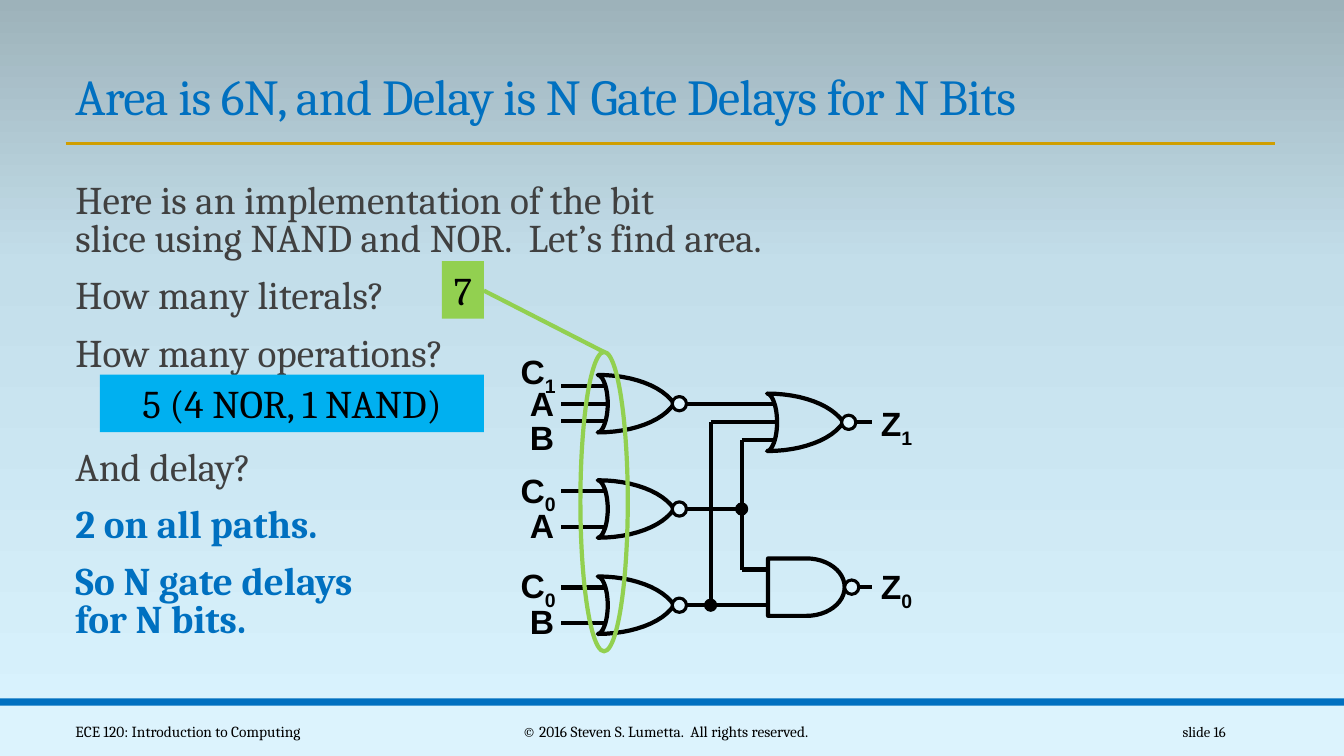
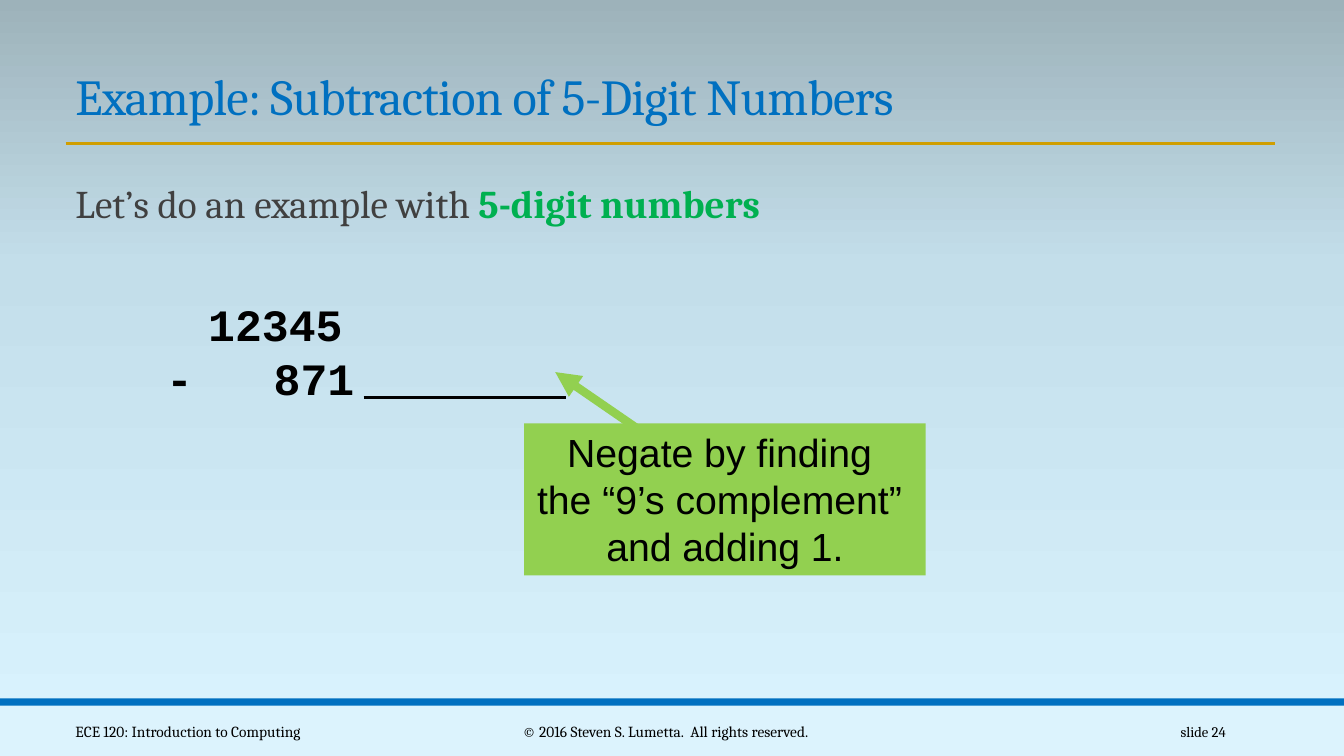
from copy import deepcopy

from lxml import etree
from pptx import Presentation
from pptx.dml.color import RGBColor
from pptx.enum.shapes import MSO_CONNECTOR, MSO_SHAPE
from pptx.enum.text import MSO_ANCHOR, PP_ALIGN
from pptx.oxml.ns import qn
from pptx.util import Pt

RECT, OVAL, DELAY = MSO_SHAPE.RECTANGLE, MSO_SHAPE.OVAL, MSO_SHAPE.FLOWCHART_DELAY
STRAIGHT = MSO_CONNECTOR.STRAIGHT
LEFT, CENTER, RIGHT = PP_ALIGN.LEFT, PP_ALIGN.CENTER, PP_ALIGN.RIGHT
TOP, MIDDLE, BOTTOM = MSO_ANCHOR.TOP, MSO_ANCHOR.MIDDLE, MSO_ANCHOR.BOTTOM

BLACK = RGBColor(0x00, 0x00, 0x00)
GRAY = RGBColor(0x40, 0x40, 0x40)
BLUE = RGBColor(0x00, 0x70, 0xC0)
SKY = RGBColor(0x00, 0xB0, 0xF0)
GOLD = RGBColor(0xD0, 0x9E, 0x00)
GREEN = RGBColor(0x00, 0xB0, 0x50)
LIME = RGBColor(0x92, 0xD0, 0x50)
PALE = RGBColor(0xDC, 0xF3, 0xFD)
BACKDROP = [
    (0, RGBColor(0xDA, 0xF4, 0xFF)),
    (0.65, RGBColor(0xC3, 0xDE, 0xEA)),
    (1, RGBColor(0x9D, 0xB2, 0xBA)),
]
SERIF, SANS, MONO = "Cambria", "Arial", "Courier New"

COLUMNS, ROWS = 160, 90
prs = Presentation()
prs.slide_width, prs.slide_height = 12192000, 6858000
CELL = prs.slide_width // COLUMNS


def draw(slide, kind, box, fill=None, edge=None, width=3, text="", size=28,
         color=BLACK, font=SERIF, bold=False, align=LEFT, anchor=TOP):
    place = [round(v * CELL) for v in box]
    if kind is None:
        shape = slide.shapes.add_textbox(*place)
    else:
        shape = slide.shapes.add_shape(kind, *place)
        shape.shadow.inherit = False
        for paint, tone in ((shape.fill, fill), (shape.line.fill, edge)):
            if tone is None:
                paint.background()
            else:
                paint.solid()
                paint.fore_color.rgb = tone
        if edge is not None:
            shape.line.width = Pt(width)
    if text:
        frame = shape.text_frame
        frame.word_wrap = kind is None
        frame.vertical_anchor = anchor
        frame.text = text
        for paragraph in frame.paragraphs:
            paragraph.alignment = align
            for run in paragraph.runs:
                run.font.size, run.font.name = Pt(size), font
                run.font.bold, run.font.color.rgb = bold, color
    return shape


def connect(slide, ends, color=BLACK, width=3):
    line = slide.shapes.add_connector(STRAIGHT, *[round(v * CELL) for v in ends])
    line.line.color.rgb = color
    line.line.width = Pt(width)
    etree.SubElement(line._element.spPr, qn("a:effectLst"))
    return line


master = prs.slide_master
backdrop = master.background.fill
backdrop.gradient()
backdrop.gradient_angle = 90
stops = master.element.find(".//" + qn("a:gsLst"))
stops.insert(1, deepcopy(stops[0]))
for stop, (position, tone) in zip(backdrop.gradient_stops, BACKDROP):
    stop.position = position
    stop.color.rgb = tone

MARGIN = 7.8
LECTURES = [
    ("Area is 6N, and Delay is N Gate Delays for N Bits", "slide 16",
     "Here is an implementation of the bit\vslice using NAND and NOR.  Let’s find area.\n"
     "How many literals?\nHow many operations?\nAnd delay?\n"
     "2 on all paths.\nSo N gate delays\vfor N bits.", 0.8),
    ("Example: Subtraction of 5-Digit Numbers", "slide 24",
     "Let’s do an example with ", 0.9),
]
slides, bodies = [], []
for title, number, body, spacing in LECTURES:
    slide = prs.slides.add_slide(prs.slide_layouts[6])
    draw(slide, RECT, (0, 84, COLUMNS, ROWS - 84), PALE)
    draw(slide, RECT, (0, 83.16, COLUMNS, 0.84), BLUE)
    connect(slide, (MARGIN, 17.04, 151.8, 17.04), GOLD, 2)
    heading = draw(slide, None, (MARGIN, 7.1, 144.1, 8.5), text=title, size=36,
                   color=BLUE, anchor=BOTTOM).text_frame.paragraphs[0]
    heading.line_spacing = 0.85
    heading.runs[0]._r.get_or_add_rPr().set("spc", "-50")
    paragraphs = draw(slide, None, (MARGIN, 21.4, 102.2, 55.7), text=body,
                      color=GRAY).text_frame.paragraphs
    for paragraph in paragraphs:
        paragraph.line_spacing = spacing
        paragraph.space_before, paragraph.space_after = Pt(12), Pt(2)
    for left, width, note, size, align in (
        (MARGIN, 39, "ECE 120: Introduction to Computing", 11, LEFT),
        (48.4, 61.7, "© 2016 Steven S. Lumetta.  All rights reserved.", 11, CENTER),
        (130, 17.1, number, 10.5, RIGHT),
    ):
        draw(slide, None, (left, 84.7, width, 4.8), text=note, size=size,
             align=align, anchor=MIDDLE)
    slides.append(slide)
    bodies.append(paragraphs)
circuit, subtraction = slides

delay_question, *answers = bodies[0][3:]
delay_question.space_before = Pt(52.7)
for answer in answers:
    for run in answer.runs:
        run.font.bold, run.font.color.rgb = True, BLUE

GATE_LEFT, OUT_LEFT = 71.16, 91.32
TOP_ROW, MID_ROW, LOW_ROW, Z1_ROW, Z0_ROW = 48.06, 60.6, 72.05, 50.28, 69.9
PIN, HALF = 2.1, 3.42
TAP_LEFT, TAP_RIGHT = 84.6, 88.3
BUBBLE, DOT = 1.7, 1.2
AND_PIN = Z0_ROW - PIN

for row, pins in ((TOP_ROW, (-PIN, 0, PIN)), (MID_ROW, (-PIN, PIN)), (LOW_ROW, (-PIN, PIN))):
    for pin in pins:
        connect(circuit, (66.84, row + pin, 72.3 if pin == 0 else 72, row + pin))
for wire in (
    (81.8, TOP_ROW, 92.2, TOP_ROW),
    (81.8, MID_ROW, TAP_RIGHT, MID_ROW),
    (81.8, LOW_ROW, 91.44, LOW_ROW),
    (TAP_LEFT, LOW_ROW, TAP_LEFT, Z1_ROW),
    (TAP_LEFT, Z1_ROW, 92.4, Z1_ROW),
    (TAP_RIGHT, AND_PIN, TAP_RIGHT, Z1_ROW + PIN),
    (TAP_RIGHT, Z1_ROW + PIN, 92.2, Z1_ROW + PIN),
    (TAP_RIGHT, AND_PIN, 91.44, AND_PIN),
    (101.9, Z1_ROW, 103.8, Z1_ROW),
    (102.3, Z0_ROW, 103.8, Z0_ROW),
):
    connect(circuit, wire)

BACK = [(0, HALF), (0.6, HALF), (1.2, 1.9), (1.2, 0)]
FRONT = [(0, HALF), (4.1, HALF), (7.7, 2.1), (9.1, 0)]
STEPS = 12
curves = []
for bend in (BACK, FRONT):
    curves.append([
        tuple(sum(weight * point[axis] for weight, point in zip(
            ((1 - t) ** 3, 3 * t * (1 - t) ** 2, 3 * t * t * (1 - t), t ** 3), bend))
            for axis in (0, 1))
        for t in (step / STEPS for step in range(STEPS + 1))
    ])
back, front = curves
outline = (front + [(x, -y) for x, y in front[::-1]]
           + [(x, -y) for x, y in back] + back[::-1])

bubbles = [(101.4, Z0_ROW)]
for left, row in ((GATE_LEFT, TOP_ROW), (GATE_LEFT, MID_ROW),
                  (GATE_LEFT, LOW_ROW), (OUT_LEFT, Z1_ROW)):
    points = [(round((left + x) * CELL), round((row + y) * CELL)) for x, y in outline]
    builder = circuit.shapes.build_freeform(*points[0])
    builder.add_line_segments(points[1:], close=True)
    nor_gate = builder.convert_to_shape()
    nor_gate.shadow.inherit = False
    nor_gate.fill.background()
    nor_gate.line.color.rgb = BLACK
    nor_gate.line.width = Pt(3)
    bubbles.append((left + 9.72, row))
draw(circuit, DELAY, (91.44, Z0_ROW - HALF, 9.12, 2 * HALF), edge=BLACK)

taps = [(TAP_RIGHT, MID_ROW), (TAP_LEFT, LOW_ROW)]
for centers, across, fill in ((bubbles, BUBBLE, PALE), (taps, DOT, BLACK)):
    for x, y in centers:
        draw(circuit, OVAL, (x - across / 2, y - across / 2, across, across),
             fill, BLACK, 2.25)

for letter, index, left, top in (
    ("C", "1", 60.8, 41.2), ("A", "", 61.9, 45), ("B", "", 61.9, 49),
    ("C", "0", 60.8, 55.3), ("A", "", 61.9, 59.5),
    ("C", "0", 60.8, 66.7), ("B", "", 61.9, 70.9),
    ("Z", "1", 103.7, 47.4), ("Z", "0", 103.7, 66.8),
):
    signal = draw(circuit, None, (left, top, 8.4, 6), text=letter, size=24,
                  font=SANS, bold=True).text_frame.paragraphs[0]
    if index:
        subscript = signal.add_run()
        subscript.text = index
        subscript.font.size, subscript.font.name = Pt(24), SANS
        subscript.font.bold, subscript.font.color.rgb = True, BLACK
        subscript._r.get_or_add_rPr().set("baseline", "-25000")

draw(circuit, OVAL, (69.1, 41.9, 5.64, 35.64), edge=LIME)
connect(circuit, (57.6, 34.6, 71.9, 41.9), LIME)
draw(circuit, RECT, (52.6, 31.1, 5, 6.84), LIME, text="7", align=CENTER)
draw(circuit, RECT, (11.9, 44.6, 45.7, 6.84), SKY, text="5 (4 NOR, 1 NAND)", align=CENTER)

emphasis = bodies[1][0].add_run()
emphasis.text = "5-digit numbers"
emphasis.font.size, emphasis.font.name = Pt(28), SERIF
emphasis.font.bold, emphasis.font.color.rgb = True, GREEN

for digits, left, middle in (("12345", 24.8, 38.5), ("-", 19.8, 45), ("871", 32.6, 45)):
    draw(subtraction, None, (left - 1.2, middle - 3.5, 20, 7), text=digits, size=32,
         font=MONO, bold=True, anchor=MIDDLE)
connect(subtraction, (43.3, 47.3, 67.4, 47.3), width=2.5)
pointer = connect(subtraction, (75.7, 50.9, 66.1, 44.3), LIME, 6)
etree.SubElement(pointer._element.spPr.find(qn("a:ln")), qn("a:tailEnd"), type="triangle")
draw(subtraction, RECT, (62.4, 50.4, 47.8, 18.1), LIME, font=SANS, align=CENTER,
     text="Negate by finding \nthe “9’s complement” \nand adding 1.")

prs.save("out.pptx")
